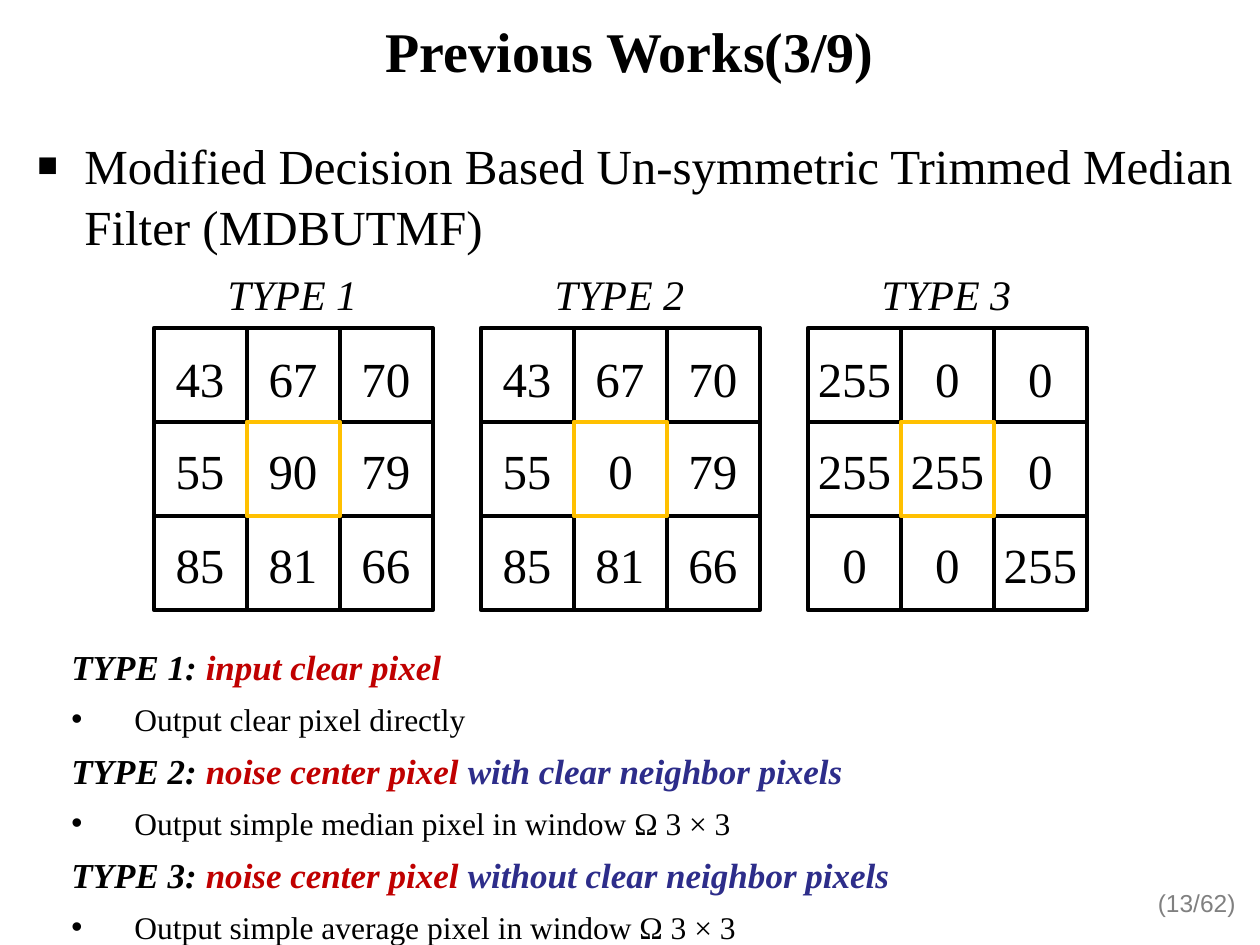
from lxml.etree import SubElement
from pptx import Presentation
from pptx.dml.color import RGBColor
from pptx.enum.shapes import MSO_SHAPE
from pptx.enum.text import MSO_ANCHOR, PP_ALIGN
from pptx.oxml.ns import qn
from pptx.util import Pt

PX = 914400 / 126
BLACK = RGBColor(0x00, 0x00, 0x00)
GOLD = RGBColor(0xFF, 0xC0, 0x00)
RED = RGBColor(0xC0, 0x00, 0x00)
BLUE = RGBColor(0x2D, 0x2D, 0x8A)
GRAY = RGBColor(0x80, 0x80, 0x80)
SERIF = "Times New Roman"


def add_text(shapes, box, text, size, align=PP_ALIGN.LEFT, color=BLACK, face=SERIF):
    """Add a wrapped text box; box is left, top, width, height in px."""
    frame = shapes.add_textbox(*[round(n * PX) for n in box]).text_frame
    frame.word_wrap = True
    frame.text = text
    para = frame.paragraphs[0]
    para.alignment = align
    font = para.runs[0].font
    font.name, font.size, font.color.rgb = face, Pt(size), color
    return frame


def add_bullet(para, mark, indent, scale=100):
    """Give the paragraph a bullet with a hanging indent in px."""
    props = para._p.get_or_add_pPr()
    props.set("marL", str(round(indent * PX)))
    props.set("indent", str(round(-indent * PX)))
    SubElement(props, qn("a:buSzPct"), val=str(scale * 1000))
    SubElement(props, qn("a:buFont"), typeface="Arial")
    SubElement(props, qn("a:buChar"), char=mark)


deck = Presentation()
deck.slide_width, deck.slide_height = round(1260 * PX), round(945 * PX)
slide = deck.slides.add_slide(deck.slide_layouts[6])
shapes = slide.shapes

# Title, heading and page number
title = add_text(shapes, (0, 0, 1260, 100), "Previous Works(3/9)", 32, PP_ALIGN.CENTER)
title.vertical_anchor = MSO_ANCHOR.MIDDLE
title.paragraphs[0].runs[0].font.bold = True

topic = add_text(
    shapes, (25, 126, 1221, 732),
    "Modified Decision Based Un-symmetric Trimmed Median Filter (MDBUTMF)", 28)
add_bullet(topic.paragraphs[0], "■", 47, 70)
topic.paragraphs[0].line_spacing = 1.05

add_text(shapes, (1136, 882, 112, 58), "(13/62)", 14, PP_ALIGN.RIGHT, GRAY, "Arial")

# Pixel windows
WIDE, HIGH, TOP = 93, 94, 328
TEXT_TOPS = (349, 440, 534)
WINDOWS = [
    ("TYPE 1", 154, ["43 67 70", "55 90 79", "85 81 66"]),
    ("TYPE 2", 481, ["43 67 70", "55 0 79", "85 81 66"]),
    ("TYPE 3", 808, ["255 0 0", "255 255 0", "0 0 255"]),
]
# The centre cell comes last so that its gold edge lies on top.
CELLS = [(r, c) for r in range(3) for c in range(3) if (r, c) != (1, 1)] + [(1, 1)]

for name, left, rows in WINDOWS:
    label = add_text(shapes, (left, 262, 277, 60), name, 24, PP_ALIGN.CENTER)
    label.paragraphs[0].runs[0].font.italic = True
    group = shapes.add_group_shape().shapes
    for row, col in CELLS:
        x = left + col * WIDE
        box = (x, TOP + row * HIGH, WIDE, HIGH)
        cell = group.add_shape(MSO_SHAPE.RECTANGLE, *[round(n * PX) for n in box])
        cell.shadow.inherit = False
        cell.fill.background()
        cell.line.color.rgb = GOLD if (row, col) == (1, 1) else BLACK
        cell.line.width = Pt(2.38)

        value = rows[row].split()[col]
        width = 25 * len(value)
        spot = (x + (WIDE - width) // 2, TEXT_TOPS[row], width, 59)
        frame = add_text(group, spot, value, 28, PP_ALIGN.CENTER)
        frame.margin_left = frame.margin_right = 0
        frame.margin_top = frame.margin_bottom = 0
        frame.word_wrap = False

# Rules for each type
RULES = [
    ("input clear pixel", "", "Output clear pixel directly"),
    ("noise center pixel ", "with clear neighbor pixels",
     "Output simple median pixel in window Ω 3 × 3"),
    ("noise center pixel ", "without clear neighbor pixels",
     "Output simple average pixel in window Ω 3 × 3"),
]
notes = add_text(shapes, (59, 638, 1142, 311), "TYPE 1: ", 20)
for num, (center, near, action) in enumerate(RULES, 1):
    head = notes.paragraphs[0] if num == 1 else notes.add_paragraph()
    head.text = f"TYPE {num}: "
    for part in filter(None, (center, near)):
        head.add_run().text = part
    for run, color in zip(head.runs, (BLACK, RED, BLUE)):
        font = run.font
        font.name, font.size, font.color.rgb = SERIF, Pt(20), color
        font.bold = font.italic = True

    item = notes.add_paragraph()
    item.text = action
    add_bullet(item, "•", 63)
    font = item.runs[0].font
    font.name, font.size, font.color.rgb = SERIF, Pt(18), BLACK

for para in notes.paragraphs:
    para.space_after = Pt(6)
    para.line_spacing = 1.04

deck.save("out.pptx")
